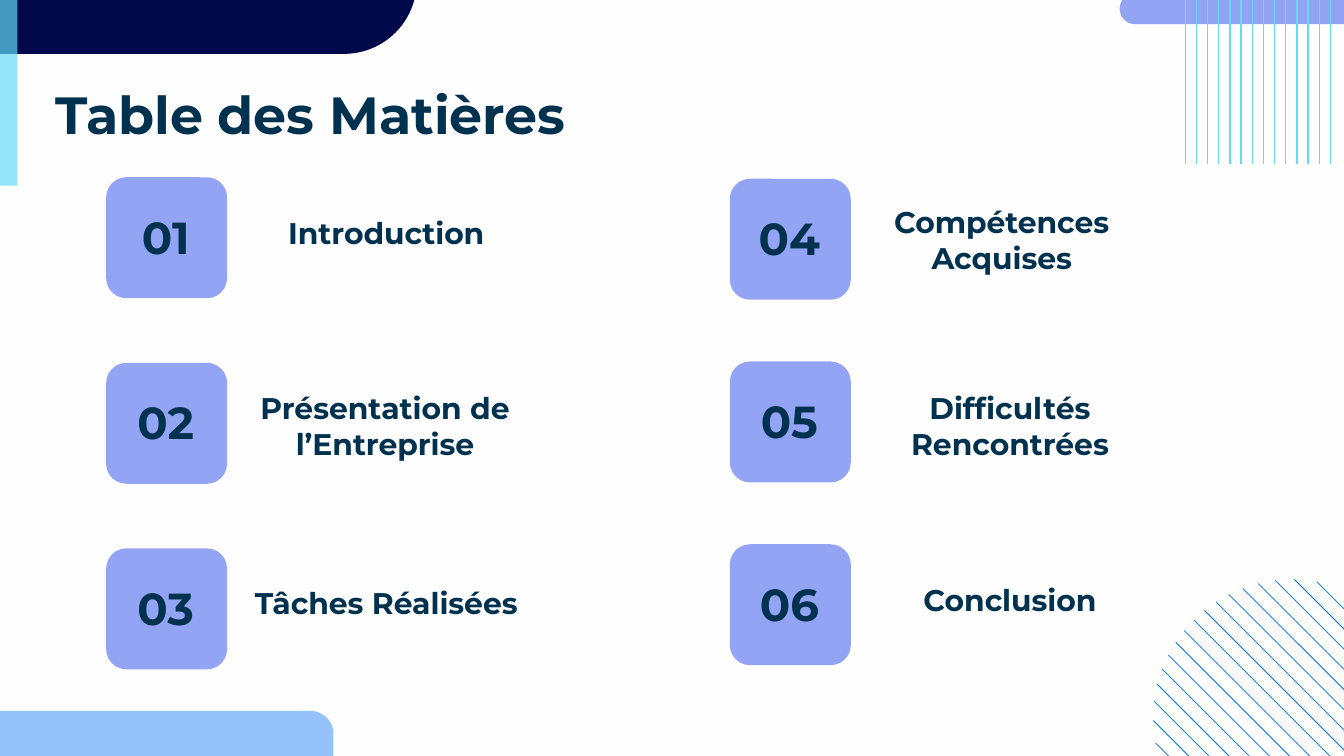
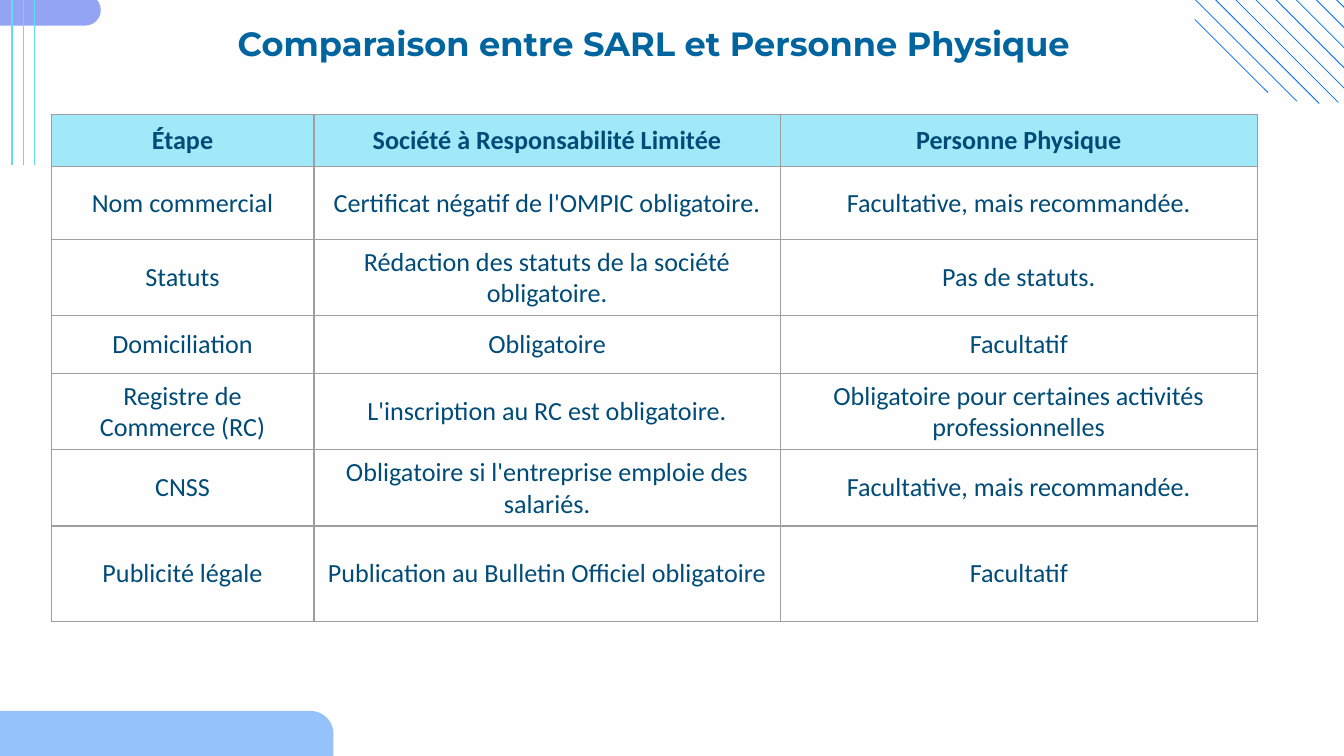
from math import sqrt

from lxml import etree
from pptx import Presentation
from pptx.dml.color import RGBColor
from pptx.enum.shapes import MSO_CONNECTOR, MSO_SHAPE
from pptx.enum.text import MSO_ANCHOR, PP_ALIGN
from pptx.oxml.ns import qn
from pptx.util import Pt

CENTER = PP_ALIGN.CENTER
TOP, MIDDLE, BOTTOM = MSO_ANCHOR.TOP, MSO_ANCHOR.MIDDLE, MSO_ANCHOR.BOTTOM
RECTANGLE = MSO_SHAPE.RECTANGLE
ROUNDED = MSO_SHAPE.ROUNDED_RECTANGLE
ONE_ROUND_CORNER = MSO_SHAPE.ROUND_1_RECTANGLE
STRAIGHT = MSO_CONNECTOR.STRAIGHT

BACKGROUND, NAVY, INK = "FEFEFE", "00094A", "003250"
PERIWINKLE, CYAN, BLUE = "516CEE", "63DBF5", "006DF5"
TITLE_BLUE, TABLE_TEXT, HEADER_FILL, GRID = "00649F", "004B77", "A1E9F9", "9E9E9E"
HEADING_FONT, TABLE_FONT = "Montserrat", "Calibri"

CONTENTS_TITLE = "Table des Matières"
CONTENTS = [
    {"left": 56.9, "top": 95, "step": 99.4, "entries": [
        ("01", "Introduction", 121.7, 111.6, 29.5),
        ("02", "Présentation de l’Entreprise", 121, 205.2, 41.8),
        ("03", "Tâches Réalisées", 121.7, 309.6, 28.8),
    ]},
    {"left": 391, "top": 95.8, "step": 97.9, "entries": [
        ("04", "Compétences Acquises", 451.4, 105.8, 41.8),
        ("05", "Difficultés Rencontrées", 455.8, 205.2, 41.8),
        ("06", "Conclusion", 455.8, 308.2, 28),
    ]},
]
CARD = 64.8

COMPARISON_TITLE = "Comparaison entre SARL et Personne Physique"
COMPARISON = [
    ("Étape", "Société à Responsabilité Limitée", "Personne Physique"),
    ("Nom commercial", "Certificat négatif de l'OMPIC obligatoire.", "Facultative, mais recommandée."),
    ("Statuts", "Rédaction des statuts de la société obligatoire.", "Pas de statuts."),
    ("Domiciliation", "Obligatoire", "Facultatif"),
    ("Registre de Commerce (RC)", "L'inscription au RC est obligatoire.",
     "Obligatoire pour certaines activités professionnelles"),
    ("CNSS", "Obligatoire si l'entreprise emploie des salariés.", "Facultative, mais recommandée."),
    ("Publicité légale", "Publication au Bulletin Officiel obligatoire", "Facultatif"),
]
COLUMN_WIDTHS = [140.8, 249.8, 255.6]
ROW_HEIGHTS = [28.1, 39, 39, 31, 39, 39, 51.1]


def color(value):
    return RGBColor.from_string(value)


def write(frame, text, size, ink, font=HEADING_FONT, bold=True):
    paragraph = frame.paragraphs[0]
    paragraph.alignment = CENTER
    run = paragraph.add_run()
    run.text = text
    run.font.name = font
    run.font.size = Pt(size)
    run.font.bold = bold
    run.font.color.rgb = color(ink)


def add_text(slide, text, left, top, width, height, size, ink=INK, anchor=TOP,
             wrap=True, right_inset=7.2, bottom_inset=3.6):
    frame = slide.shapes.add_textbox(Pt(left), Pt(top), Pt(width), Pt(height)).text_frame
    frame.word_wrap = wrap
    frame.vertical_anchor = anchor
    frame.margin_right = Pt(right_inset)
    frame.margin_bottom = Pt(bottom_inset)
    write(frame, text, size, ink)


def paint(shape, fill, opacity=100):
    shape.shadow.inherit = False
    shape.line.fill.background()
    shape.fill.solid()
    shape.fill.fore_color.rgb = color(fill)
    if opacity < 100:
        tint = shape._element.spPr.find(".//" + qn("a:srgbClr"))
        etree.SubElement(tint, qn("a:alpha")).set("val", str(opacity * 1000))


def add_shape(slide, kind, left, top, width, height, fill, opacity=100, corner=None, rotation=0):
    shape = slide.shapes.add_shape(kind, Pt(left), Pt(top), Pt(width), Pt(height))
    if corner is not None:
        shape.adjustments[0] = corner
    shape.rotation = rotation
    paint(shape, fill, opacity)


def add_stripes(slide, left, top, count, step=5.98, length=165.6):
    for index in range(count):
        x = Pt(left + index * step)
        stripe = slide.shapes.add_connector(STRAIGHT, x, Pt(top), x, Pt(top + length))
        stripe.line.color.rgb = color(CYAN)
        stripe.line.width = Pt(0.75)
        etree.SubElement(stripe._element.spPr, qn("a:effectLst"))


def add_hatched_disc(slide, center_x, center_y, chords, radius=74.2, step=5.4, thickness=0.3):
    for index in chords:
        shift = index * step
        half = sqrt(radius ** 2 / 2 - shift ** 2)
        left, right = center_x + shift - half, center_x + shift + half
        top, bottom = center_y - shift - half, center_y - shift + half
        builder = slide.shapes.build_freeform(Pt(left + thickness), Pt(top))
        corners = [(left, top + thickness), (right - thickness, bottom), (right, bottom - thickness)]
        builder.add_line_segments([(Pt(x), Pt(y)) for x, y in corners])
        paint(builder.convert_to_shape(), BLUE)


def add_base_slide(presentation, pill_left, pill_top, stripe_left, stripe_count):
    slide = presentation.slides.add_slide(presentation.slide_layouts[6])
    slide.background.fill.solid()
    slide.background.fill.fore_color.rgb = color(BACKGROUND)
    add_shape(slide, ROUNDED, pill_left, pill_top, 148.3, 16.6, PERIWINKLE, 61, 0.5)
    add_stripes(slide, stripe_left, pill_top - 74.2, stripe_count)
    add_shape(slide, ONE_ROUND_CORNER, 0, 380.9, 178.6, 24.5, BLUE, 41, 0.5)
    return slide


def add_contents_slide(presentation):
    slide = add_base_slide(presentation, 599.8, -3.6, 635, 14)
    add_shape(slide, ONE_ROUND_CORNER, 64.1, -130.3, 77.8, 240.5, NAVY, corner=0.5, rotation=90)
    add_shape(slide, RECTANGLE, -17.3, -48.2, 26.6, 147.6, CYAN, 69)
    add_text(slide, CONTENTS_TITLE, -40.3, 28.8, 431.3, 62.6, 28, anchor=BOTTOM,
             right_inset=25.2, bottom_inset=13.5)
    add_hatched_disc(slide, 691.9, 384.5, range(-8, 9))
    for column in CONTENTS:
        for index, (number, label, left, top, height) in enumerate(column["entries"]):
            card_top = column["top"] + index * column["step"]
            add_shape(slide, ROUNDED, column["left"], card_top, CARD, CARD, PERIWINKLE, 61, 0.167)
            add_text(slide, number, column["left"] - 0.5, card_top + 13.7, CARD, 36, 24)
            add_text(slide, label, left, top, 170.6, height, 16)


def add_border(cell):
    properties = cell._tc.get_or_add_tcPr()
    for position, side in enumerate(("a:lnL", "a:lnR", "a:lnT", "a:lnB")):
        line = etree.Element(qn(side), w=str(Pt(0.75)))
        fill = etree.SubElement(line, qn("a:solidFill"))
        etree.SubElement(fill, qn("a:srgbClr"), val=GRID)
        properties.insert(position, line)


def add_comparison_slide(presentation):
    slide = add_base_slide(presentation, -94.3, -2.9, 6.5, 3)
    add_hatched_disc(slide, 708.3, -18.6, range(-9, 0))
    add_text(slide, COMPARISON_TITLE, 109.4, 8.6, 481.7, 28.8, 18, TITLE_BLUE, wrap=False)
    table = slide.shapes.add_table(len(COMPARISON), len(COLUMN_WIDTHS), Pt(27.4), Pt(61.2),
                                   Pt(sum(COLUMN_WIDTHS)), Pt(sum(ROW_HEIGHTS))).table
    table.first_row = False
    table.horz_banding = False
    for column, width in zip(table.columns, COLUMN_WIDTHS):
        column.width = Pt(width)
    for row_index, (row, height) in enumerate(zip(table.rows, ROW_HEIGHTS)):
        row.height = Pt(height)
        is_header = row_index == 0
        for cell, text in zip(row.cells, COMPARISON[row_index]):
            cell.vertical_anchor = MIDDLE
            write(cell.text_frame, text, 14, TABLE_TEXT, TABLE_FONT, is_header)
            if is_header:
                cell.fill.solid()
                cell.fill.fore_color.rgb = color(HEADER_FILL)
            else:
                cell.fill.background()
            add_border(cell)


def main():
    presentation = Presentation()
    presentation.slide_width = Pt(720)
    presentation.slide_height = Pt(405)
    add_contents_slide(presentation)
    add_comparison_slide(presentation)
    presentation.save("out.pptx")


if __name__ == "__main__":
    main()
